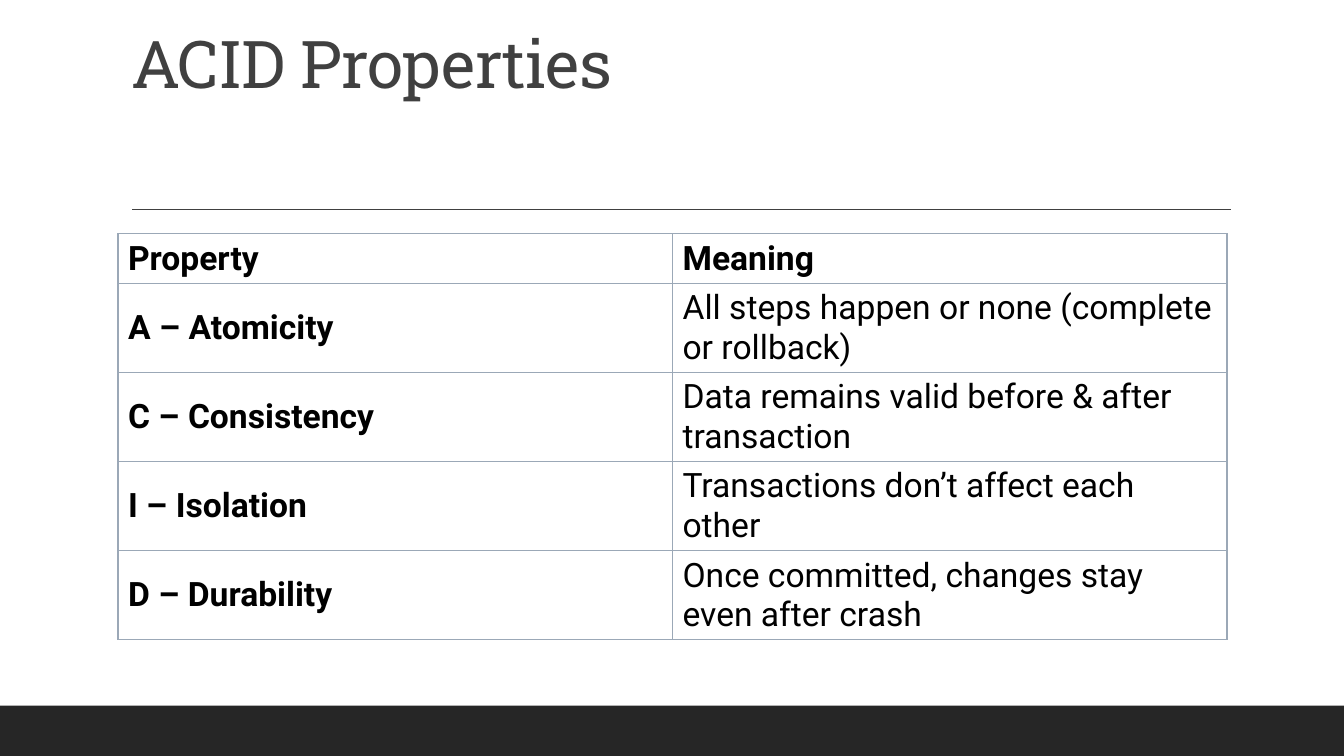
from lxml import etree
from pptx import Presentation
from pptx.dml.color import RGBColor
from pptx.enum import shapes, text
from pptx.oxml.ns import qn
from pptx.util import Inches, Pt

COLORS = {
    "band": "262626",
    "title": "404040",
    "rule": "404040",
    "body": "000000",
    "border": "9BA8B7",
}

ACID_ROWS = [
    ("Property", "Meaning"),
    ("A – Atomicity", "All steps happen or none (complete or rollback)"),
    ("C – Consistency", "Data remains valid before & after transaction"),
    ("I – Isolation", "Transactions don’t affect each other"),
    ("D – Durability", "Once committed, changes stay even after crash"),
]


def color(name):
    return RGBColor.from_string(COLORS[name])


def write(frame, words, font="Roboto", size=24, ink="body", bold=False,
          line_spacing=None, tracking=None):
    """Put one left-aligned paragraph in a text frame; tracking is in points."""
    paragraph = frame.paragraphs[0]
    paragraph.alignment = text.PP_ALIGN.LEFT
    if line_spacing:
        paragraph.line_spacing = line_spacing
    run = paragraph.add_run()
    run.text = words
    run.font.name = font
    run.font.size = Pt(size)
    run.font.bold = bold
    run.font.color.rgb = color(ink)
    if tracking:
        run._r.get_or_add_rPr().set("spc", str(int(tracking * 100)))


def add_footer_band(slide):
    band = slide.shapes.add_shape(shapes.MSO_SHAPE.RECTANGLE, Inches(0), Inches(7),
                                  Inches(13.33), Inches(0.5))
    band.shadow.inherit = False
    band.fill.solid()
    band.fill.fore_color.rgb = color("band")
    band.line.fill.background()


def add_title_rule(slide):
    rule = slide.shapes.add_connector(shapes.MSO_CONNECTOR.STRAIGHT, Inches(1.31),
                                      Inches(2.08), Inches(12.21), Inches(2.08))
    rule.line.color.rgb = color("rule")
    rule.line.width = Pt(1)
    etree.SubElement(rule._element.spPr, qn("a:effectLst"))


def set_title(slide, words):
    title = slide.shapes.title
    title.left, title.top = Inches(1.2), Inches(0.31)
    title.width, title.height = Inches(11), Inches(1.59)
    frame = title.text_frame
    frame.word_wrap = True
    frame.auto_size = text.MSO_AUTO_SIZE.NONE
    frame.vertical_anchor = text.MSO_ANCHOR.TOP
    frame.margin_top = Inches(0)
    write(frame, words, font="Roboto Slab", size=47, ink="title",
          line_spacing=0.9, tracking=-0.5)


def add_borders(cell):
    properties = cell._tc.get_or_add_tcPr()
    for side in ("lnL", "lnR", "lnT", "lnB"):
        border = etree.SubElement(properties, qn(f"a:{side}"), w=str(Pt(1)))
        fill = etree.SubElement(border, qn("a:solidFill"))
        etree.SubElement(fill, qn("a:srgbClr"), val=COLORS["border"])


def add_acid_table(slide, rows):
    header_height, row_height = Inches(0.49), Inches(0.88)
    table = slide.shapes.add_table(
        len(rows), 2, Inches(1.17), Inches(2.32), Inches(11),
        header_height + row_height * (len(rows) - 1)).table
    table.horz_banding = False
    for r, row in enumerate(rows):
        table.rows[r].height = row_height if r else header_height
        for c, words in enumerate(row):
            cell = table.cell(r, c)
            cell.vertical_anchor = text.MSO_ANCHOR.MIDDLE
            add_borders(cell)
            cell.fill.background()
            write(cell.text_frame, words, bold=r == 0 or c == 0)


def main():
    deck = Presentation()
    deck.slide_width, deck.slide_height = Inches(13.33), Inches(7.5)
    slide = deck.slides.add_slide(deck.slide_layouts[5])
    add_footer_band(slide)
    add_title_rule(slide)
    set_title(slide, "ACID Properties")
    add_acid_table(slide, ACID_ROWS)
    deck.save("out.pptx")


if __name__ == "__main__":
    main()
